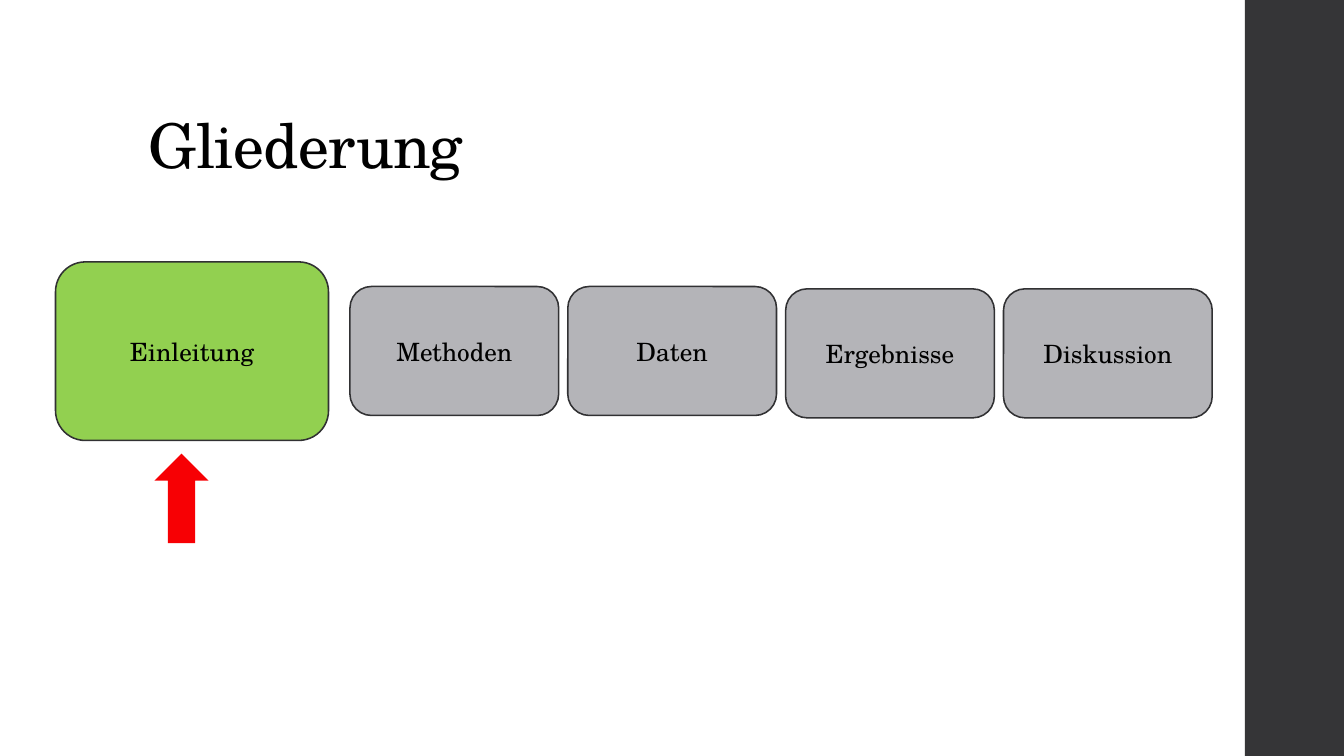
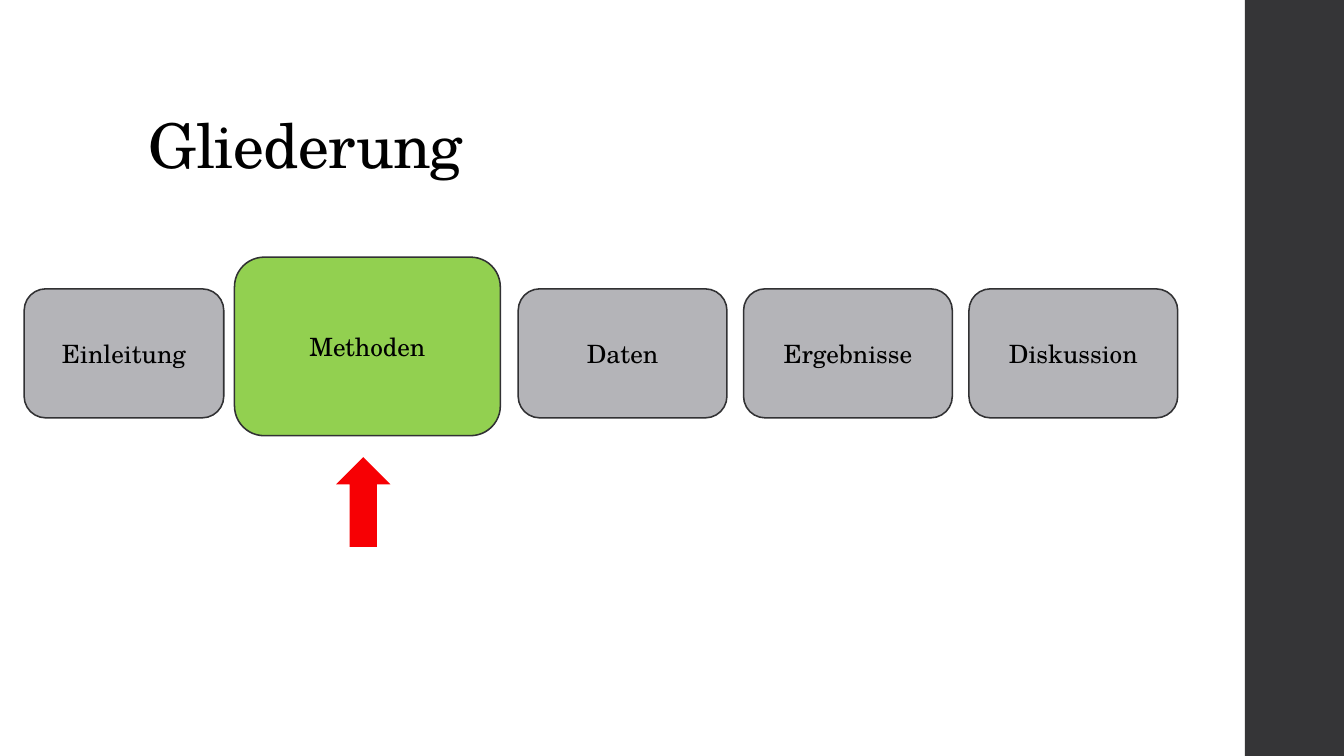
from pptx import Presentation
from pptx.dml.color import RGBColor
from pptx.enum.shapes import MSO_SHAPE
from pptx.enum.text import MSO_ANCHOR, PP_ALIGN
from pptx.util import Cm, Pt

RECTANGLE = MSO_SHAPE.RECTANGLE
ROUNDED = MSO_SHAPE.ROUNDED_RECTANGLE
UP_ARROW = MSO_SHAPE.UP_ARROW
MIDDLE = MSO_ANCHOR.MIDDLE
BOTTOM = MSO_ANCHOR.BOTTOM
CENTER = PP_ALIGN.CENTER
LEFT = PP_ALIGN.LEFT

WHITE = RGBColor(0xFF, 0xFF, 0xFF)
BLACK = RGBColor(0x00, 0x00, 0x00)
CHARCOAL = RGBColor(0x35, 0x35, 0x37)
OUTLINE = RGBColor(0x31, 0x31, 0x33)
GREEN = RGBColor(0x92, 0xD0, 0x50)
GREY = RGBColor(0xB4, 0xB4, 0xB8)
RED = RGBColor(0xF7, 0x00, 0x04)

FONT = "TeX Gyre Schola"
SLIDE_WIDTH, SLIDE_HEIGHT = 33.87, 19.05
BAND_LEFT = 31.37
STEP_WIDTH, STEP_HEIGHT = 5.26, 3.25
ACTIVE_HEIGHT = 4.5
ARROW_WIDTH, ARROW_HEIGHT = 1.37, 2.26

SECTIONS = ["Einleitung", "Methoden", "Daten", "Ergebnisse", "Diskussion"]


class OutlineDeck:
    def __init__(self):
        self.presentation = Presentation()
        self.presentation.slide_width = Cm(SLIDE_WIDTH)
        self.presentation.slide_height = Cm(SLIDE_HEIGHT)
        self.slide = None

    def new_slide(self, title):
        blank = self.presentation.slide_layouts[6]
        self.slide = self.presentation.slides.add_slide(blank)
        background = self.slide.background.fill
        background.solid()
        background.fore_color.rgb = WHITE
        self.shape(RECTANGLE, BAND_LEFT, 0, SLIDE_WIDTH - BAND_LEFT, SLIDE_HEIGHT, CHARCOAL)
        self.title(title)

    def shape(self, preset, left, top, width, height, color):
        shape = self.slide.shapes.add_shape(preset, Cm(left), Cm(top), Cm(width), Cm(height))
        shape.shadow.inherit = False
        shape.fill.solid()
        shape.fill.fore_color.rgb = color
        shape.line.fill.background()
        return shape

    def add_text(self, frame, text, size, anchor, alignment):
        frame.word_wrap = True
        frame.vertical_anchor = anchor
        paragraph = frame.paragraphs[0]
        paragraph.alignment = alignment
        run = paragraph.add_run()
        run.text = text
        run.font.name = FONT
        run.font.size = Pt(size)
        run.font.color.rgb = BLACK
        return paragraph, run

    def title(self, text):
        box = self.slide.shapes.add_textbox(Cm(3.5), Cm(1.02), Cm(26.92), Cm(3.68))
        paragraph, run = self.add_text(box.text_frame, text, 44, BOTTOM, LEFT)
        paragraph.line_spacing = 0.9
        run._r.get_or_add_rPr().set("spc", "-50")

    def step(self, label, left, top, width=STEP_WIDTH, height=STEP_HEIGHT, color=GREY):
        step = self.shape(ROUNDED, left, top, width, height, color)
        step.line.color.rgb = OUTLINE
        step.line.width = Pt(1.1)
        self.add_text(step.text_frame, label, 18, MIDDLE, CENTER)

    def step_row(self, labels, left, top, pitch):
        for index, label in enumerate(labels):
            self.step(label, left + index * pitch, top)

    def active_step(self, label, left, top, width):
        self.step(label, left, top, width, ACTIVE_HEIGHT, GREEN)

    def arrow(self, left, top):
        self.shape(UP_ARROW, left, top, ARROW_WIDTH, ARROW_HEIGHT, RED)


def main():
    deck = OutlineDeck()

    deck.new_slide("Gliederung")
    deck.active_step(SECTIONS[0], 1.4, 6.6, 6.88)
    deck.step_row(SECTIONS[1:3], 8.82, 7.22, 5.49)
    deck.step_row(SECTIONS[3:], 19.8, 7.28, 5.49)
    deck.arrow(3.89, 11.43)

    deck.new_slide("Gliederung")
    deck.step(SECTIONS[0], 0.61, 7.28, width=5.03)
    deck.active_step(SECTIONS[1], 5.91, 6.48, 6.7)
    deck.step_row(SECTIONS[2:], 13.06, 7.28, 5.68)
    deck.arrow(8.47, 11.52)

    deck.presentation.save("out.pptx")


if __name__ == "__main__":
    main()
